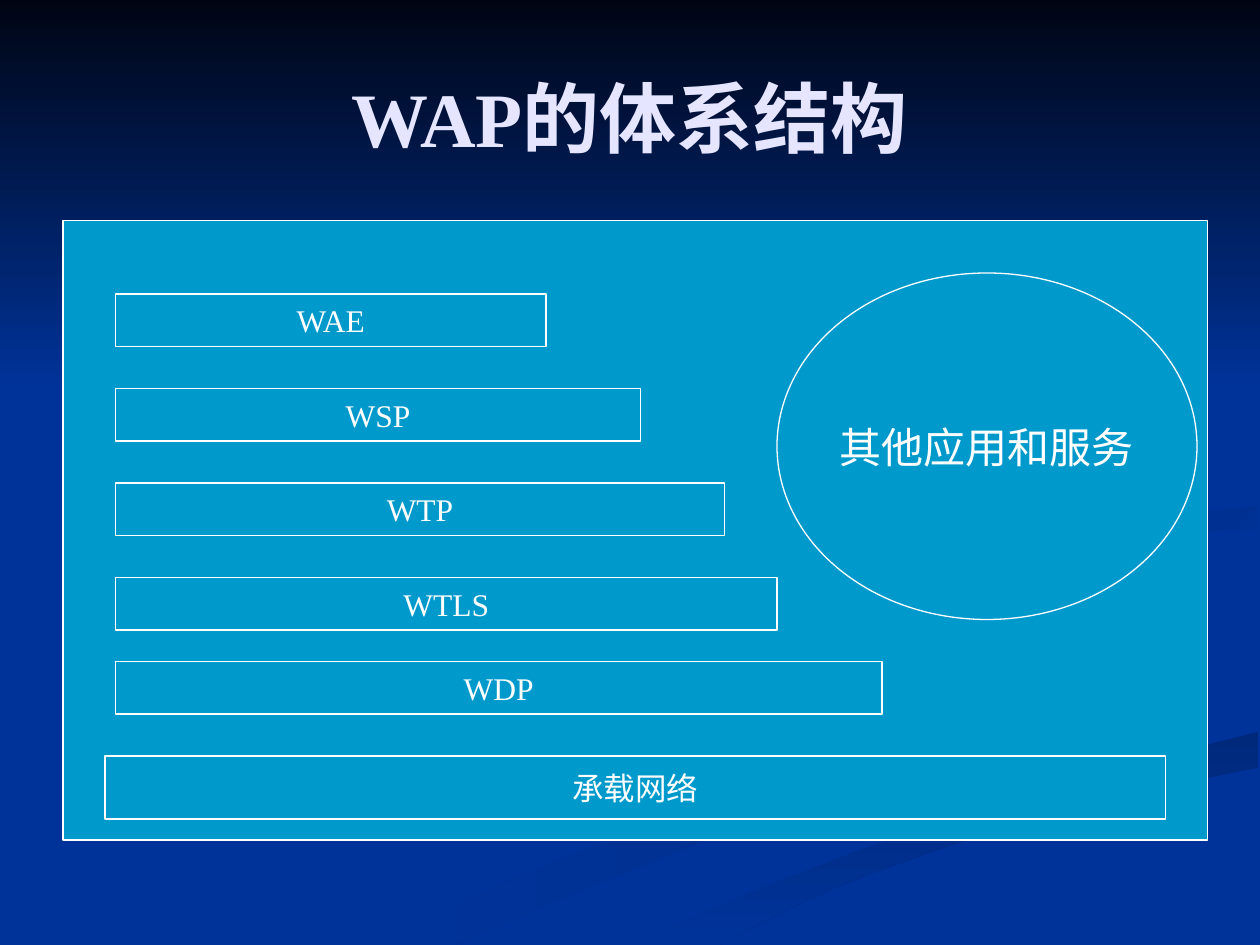
"""Build the slide on the layered architecture of WAP."""
from pptx import Presentation
from pptx.dml.color import RGBColor
from pptx.enum.shapes import MSO_SHAPE
from pptx.enum.text import MSO_ANCHOR, MSO_AUTO_SIZE, PP_ALIGN
from pptx.util import Pt

RECT, OVAL = MSO_SHAPE.RECTANGLE, MSO_SHAPE.OVAL
MIDDLE, CENTER, NO_FIT = MSO_ANCHOR.MIDDLE, PP_ALIGN.CENTER, MSO_AUTO_SIZE.NONE
PX = 7620
WIDTH, HEIGHT, SKY_HEIGHT = 1200, 900, 370
TITLE_ONLY = 5
CURVE_STEPS = 12
FONT = "Times New Roman"
COLORS = {
    "base": "003399", "night": "000514", "dusk": "002E8A", "shade": "00297C",
    "fold": "002C85", "title": "E5E5FF", "box": "0099CC", "white": "FFFFFF",
}

SEAM = ((604, 900), (830, 788), (1198, 697))
RIBBONS = [
    {"upper": ((360, 900), (568, 785), (943, 690)),
     "lower": ((433, 900), (658, 798), (960, 697)),
     "colors": ("dusk", "base"), "angle": 180},
    {"upper": SEAM, "lower": ((685, 900), (862, 797), (1198, 731)),
     "colors": ("shade", "base"), "angle": 90},
    {"upper": ((572, 900), (838, 777), (1132, 690)), "lower": SEAM,
     "colors": ("base", "base"), "angle": 0},
    {"upper": ((937, 552), (1008, 501), (1198, 482)),
     "lower": ((991, 595), (1006, 505), (1198, 504)),
     "colors": ("base", "fold"), "angle": 225},
]

BAR_LEFT, BAR_HEIGHT = 110, 50
LAYERS = [
    ("WAE", 280, 410), ("WSP", 370, 500), ("WTP", 460, 580),
    ("WTLS", 550, 630), ("WDP", 630, 730),
]


def rgb(name):
    """Return a named colour."""
    return RGBColor.from_string(COLORS[name])


def curve(start, control, end):
    """Return points along a quadratic curve."""
    steps = [i / CURVE_STEPS for i in range(CURVE_STEPS + 1)]
    return [
        tuple(round((1 - t) ** 2 * a + 2 * t * (1 - t) * b + t * t * c)
              for a, b, c in zip(start, control, end))
        for t in steps
    ]


def fill_gradient(sp, colors, angle):
    """Fill a borderless shape with a gradient at a clockwise angle."""
    sp.shadow.inherit = False
    sp.line.fill.background()
    sp.fill.gradient()
    sp.fill.gradient_angle = (360 - angle) % 360
    for position, (stop, name) in enumerate(zip(sp.fill.gradient_stops, colors)):
        stop.color.rgb = rgb(name)
        stop.position = position


def add_ribbon(s, upper, lower, colors, angle):
    """Add a band between two curves."""
    outline = curve(*upper) + curve(*lower)[::-1]
    builder = s.shapes.build_freeform(*outline[0], scale=PX)
    builder.add_line_segments(outline[1:], close=True)
    fill_gradient(builder.convert_to_shape(), colors, angle)


def add_backdrop(s):
    """Paint the background, its ribbons and the dark sky."""
    s.background.fill.solid()
    s.background.fill.fore_color.rgb = rgb("base")
    for ribbon in RIBBONS:
        add_ribbon(s, **ribbon)
    sky = s.shapes.add_shape(RECT, 0, 0, WIDTH * PX, SKY_HEIGHT * PX)
    fill_gradient(sky, ("night", "base"), 90)


def write(tf, text, size, color, bold=False):
    """Write one centred run."""
    tf.vertical_anchor = MIDDLE
    p = tf.paragraphs[0]
    p.alignment = CENTER
    r = p.add_run()
    r.text = text
    r.font.name = FONT
    r.font.size = Pt(size)
    r.font.bold = bold
    r.font.color.rgb = rgb(color)


def add_title(s, text):
    """Fill the title placeholder and lift it above the backdrop."""
    sp = s.shapes.title
    s.shapes.element.append(sp.element)
    sp.left, sp.top, sp.width, sp.height = (v * PX for v in (60, 36, 1080, 150))
    sp.text_frame.auto_size = NO_FIT
    write(sp.text_frame, text, 44, "title", bold=True)


def add_box(s, kind, x, y, w, h, text="", size=18):
    """Add an outlined shape with an optional label."""
    sp = s.shapes.add_shape(kind, x * PX, y * PX, w * PX, h * PX)
    sp.shadow.inherit = False
    sp.fill.solid()
    sp.fill.fore_color.rgb = rgb("box")
    sp.line.color.rgb = rgb("white")
    sp.line.width = Pt(0.75)
    if text:
        sp.text_frame.word_wrap = False
        write(sp.text_frame, text, size, "white")


def add_architecture(s):
    """Add the panel, its protocol layers, the network and the services."""
    add_box(s, RECT, 60, 210, 1090, 590)
    for name, top, width in LAYERS:
        add_box(s, RECT, BAR_LEFT, top, width, BAR_HEIGHT, name)
    add_box(s, RECT, 100, 720, 1010, 60, "承载网络")
    add_box(s, OVAL, 740, 260, 400, 330, "其他应用和服务", 24)


def main():
    """Build and save the slide."""
    prs = Presentation()
    prs.slide_width, prs.slide_height = WIDTH * PX, HEIGHT * PX
    s = prs.slides.add_slide(prs.slide_layouts[TITLE_ONLY])
    add_backdrop(s)
    add_title(s, "WAP的体系结构")
    add_architecture(s)
    prs.save("out.pptx")


if __name__ == "__main__":
    main()
